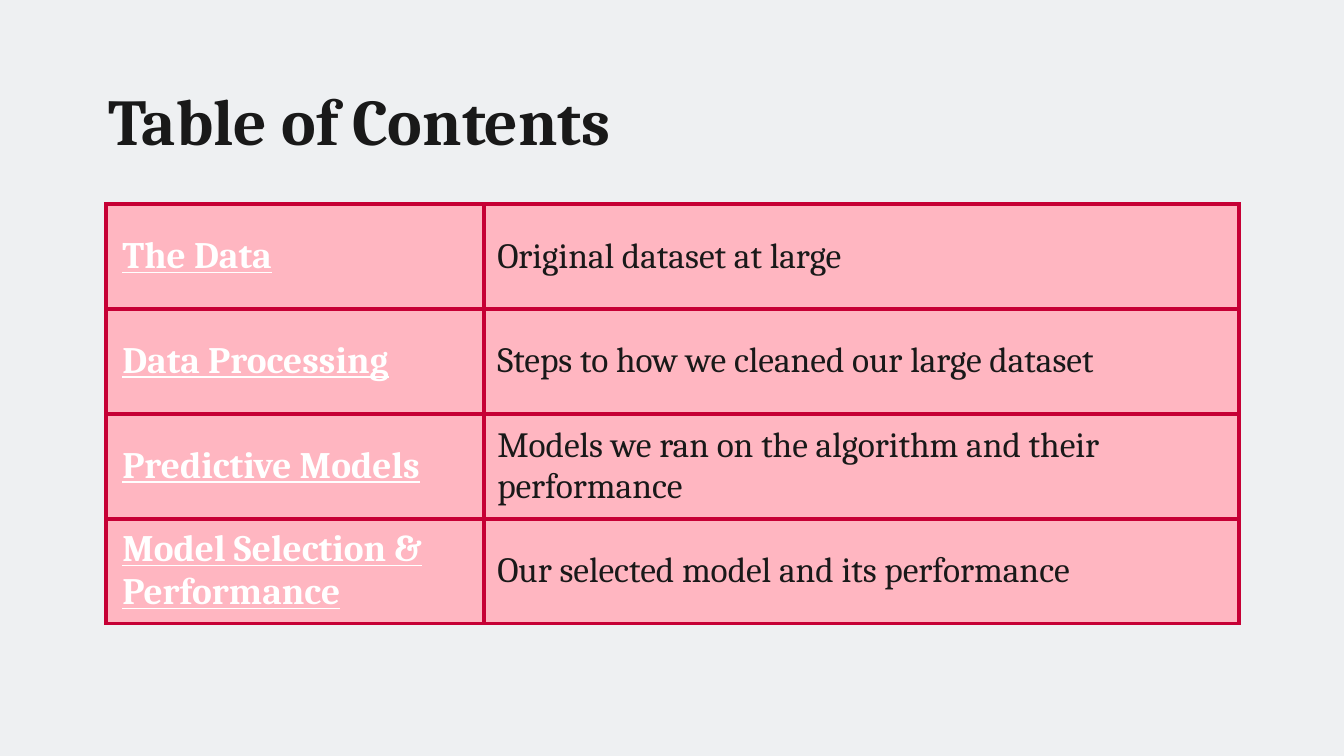
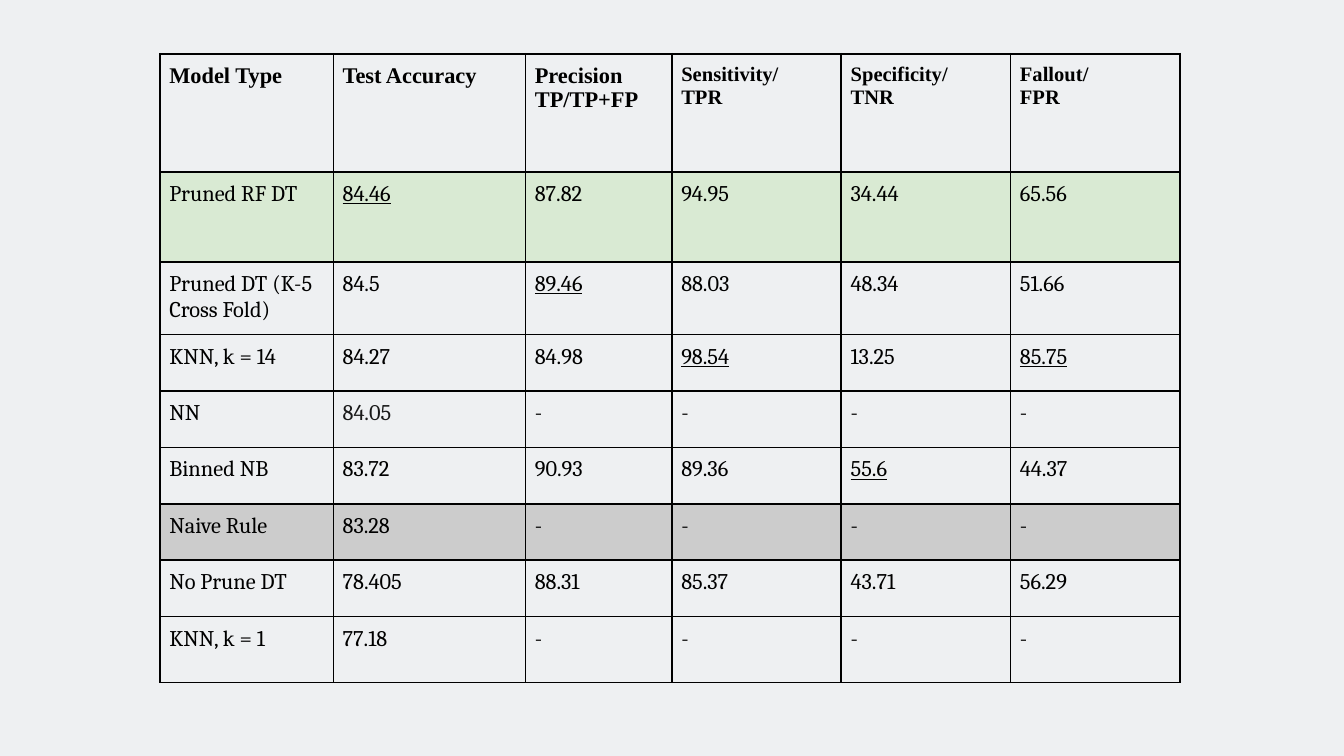
"""Builds a contents slide and a slide that compares model scores."""
from dataclasses import dataclass, replace

from lxml import etree
from pptx import Presentation, util as u
from pptx.dml import color
from pptx.enum import text
from pptx.oxml import ns

WIDE = u.Inches(10)
HIGH = u.Emu(WIDE * 9 // 16)
COLS, ROWS = 100, 56.25
HUES = {
    "back": "EEF0F2", "ink": "191919", "black": "000000", "white": "FFFFFF",
    "pink": "FFB6C1", "red": "C60035", "green": "D9EAD3", "gray": "CCCCCC",
}


@dataclass(frozen=True)
class Style:
    size: float
    hue: str
    font: str = "Cambria"
    bold: bool = False
    under: bool = False
    after: float = 0
    dent: float = 0


@dataclass(frozen=True)
class Cell:
    words: str
    style: Style
    fill: str = ""


@dataclass(frozen=True)
class Grid:
    left: float
    top: float
    wides: list[float]
    highs: list[float]
    edge: str
    weight: float
    pad: tuple[float, float]
    anchor: text.MSO_ANCHOR


TITLE = Style(35, "ink", bold=True)
LINK = Style(20, "white", bold=True, under=True, dent=0.2)
NOTE = Style(19, "ink", after=16)
BODY = Style(12, "black")
BEST = replace(BODY, under=True)
HEAD = Style(12, "black", "Times New Roman", bold=True)
RATE = replace(HEAD, size=11)

TOPICS = [
    ("The Data", "Original dataset at large"),
    ("Data Processing", "Steps to how we cleaned our large dataset"),
    ("Predictive Models", "Models we ran on the algorithm and their performance"),
    ("Model Selection & Performance", "Our selected model and its performance"),
]
HEADS = ["Model Type", "Test Accuracy", "Precision\nTP/TP+FP",
         "Sensitivity/\nTPR", "Specificity/\nTNR", "Fallout/\nFPR"]
SCORES = [
    ("Pruned RF DT", "84.46", "87.82", "94.95", "34.44", "65.56"),
    ("Pruned DT (K-5 Cross Fold)", "84.5", "89.46", "88.03", "48.34", "51.66"),
    ("KNN, k = 14", "84.27", "84.98", "98.54", "13.25", "85.75"),
    ("NN", "84.05", "-", "-", "-", "-"),
    ("Binned NB", "83.72", "90.93", "89.36", "55.6", "44.37"),
    ("Naive Rule", "83.28", "-", "-", "-", "-"),
    ("No Prune DT", "78.405", "88.31", "85.37", "43.71", "56.29"),
    ("KNN, k = 1", "77.18", "-", "-", "-", "-"),
]
MARKS = {(0, 1): BEST, (1, 2): BEST, (2, 3): BEST, (2, 5): BEST,
         (4, 4): BEST, (3, 1): replace(BODY, hue="ink")}
BANDS = {0: "green", 5: "gray"}


def across(cols: float) -> u.Emu:
    return u.Emu(round(WIDE * cols / COLS))


def down(rows: float) -> u.Emu:
    return u.Emu(round(HIGH * rows / ROWS))


def tint(hue: str) -> color.RGBColor:
    return color.RGBColor.from_string(HUES[hue])


def write(frame, words: str, style: Style) -> None:
    for num, line in enumerate(words.split("\n")):
        para = frame.add_paragraph() if num else frame.paragraphs[0]
        para.alignment = text.PP_ALIGN.LEFT
        if style.after:
            para.space_after = u.Pt(style.after)
        if style.dent:
            para._p.get_or_add_pPr().set("marL", str(across(style.dent)))
        run = para.add_run()
        run.text = line
        font = run.font
        font.name, font.size = style.font, u.Pt(style.size)
        font.bold, font.underline = style.bold, style.under
        font.color.rgb = tint(style.hue)


def rule(box, hue: str, weight: float) -> None:
    props = box._tc.get_or_add_tcPr()
    for side in ("L", "R", "T", "B"):
        line = etree.SubElement(props, ns.qn(f"a:ln{side}"), w=str(u.Pt(weight)))
        fill = etree.SubElement(line, ns.qn("a:solidFill"))
        etree.SubElement(fill, ns.qn("a:srgbClr"), val=HUES[hue])


def draw(slide, grid: Grid, cells: list[list[Cell]]) -> None:
    table = slide.shapes.add_table(
        len(grid.highs), len(grid.wides), across(grid.left), down(grid.top),
        across(sum(grid.wides)), down(sum(grid.highs))).table
    table.first_row = table.horz_banding = False
    for col, wide in zip(table.columns, grid.wides):
        col.width = across(wide)
    for row, high, line in zip(table.rows, grid.highs, cells):
        row.height = down(high)
        for box, cell in zip(row.cells, line):
            box.margin_left = box.margin_right = across(grid.pad[0])
            box.margin_top = box.margin_bottom = down(grid.pad[1])
            box.vertical_anchor = grid.anchor
            rule(box, grid.edge, grid.weight)
            if cell.fill:
                box.fill.solid()
                box.fill.fore_color.rgb = tint(cell.fill)
            else:
                box.fill.background()
            write(box.text_frame, cell.words, cell.style)


def start(deck):
    slide = deck.slides.add_slide(deck.slide_layouts[6])
    slide.background.fill.solid()
    slide.background.fill.fore_color.rgb = tint("back")
    return slide


def title(slide, words: str) -> None:
    frame = slide.shapes.add_textbox(
        across(7.1), down(5), across(84.3), down(6.3)).text_frame
    frame.word_wrap = True
    frame.margin_left = frame.margin_right = across(1)
    frame.margin_top = frame.margin_bottom = down(1)
    write(frame, words, TITLE)


def topics(deck) -> None:
    slide = start(deck)
    title(slide, "Table of Contents")
    grid = Grid(7.9, 15.2, [28.1, 56.2], [7.8] * len(TOPICS),
                "red", 2.25, (1, 0), text.MSO_ANCHOR.MIDDLE)
    draw(slide, grid, [[Cell(name, LINK, "pink"), Cell(note, NOTE, "pink")]
                       for name, note in TOPICS])


def scores(deck) -> None:
    grid = Grid(11.9, 4, [12.9, 14.3, 10.9] + [12.6] * 3,
                [8.8, 6.7] + [4.2] * 6 + [4.9],
                "black", 1, (0.7, 0.7), text.MSO_ANCHOR.TOP)
    heads = [Cell(words, HEAD if col < 3 else RATE)
             for col, words in enumerate(HEADS)]
    body = [[Cell(words, MARKS.get((row, col), BODY), BANDS.get(row, ""))
             for col, words in enumerate(line)]
            for row, line in enumerate(SCORES)]
    draw(start(deck), grid, [heads, *body])


def main() -> None:
    deck = Presentation()
    deck.slide_width, deck.slide_height = WIDE, HIGH
    topics(deck)
    scores(deck)
    deck.save("out.pptx")


if __name__ == "__main__":
    main()
